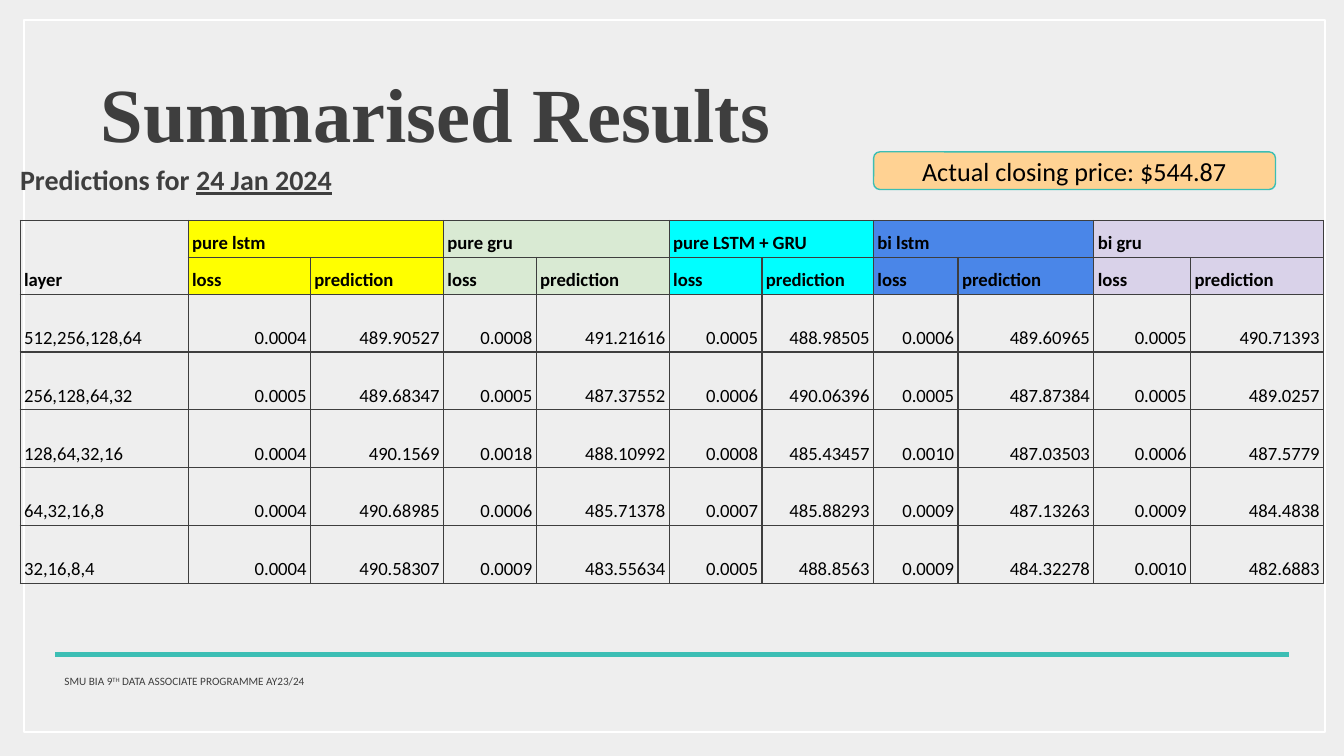
from lxml.etree import SubElement
from pptx import Presentation
from pptx.dml.color import RGBColor
from pptx.enum.shapes import MSO_CONNECTOR, MSO_SHAPE
from pptx.enum.text import MSO_ANCHOR, PP_ALIGN
from pptx.oxml import parse_xml
from pptx.oxml.ns import nsdecls, qn
from pptx.util import Inches, Pt

INK = {"back": "EEEEEE", "frame": "FFFFFF", "teal": "3CBEB4", "gray": "3E3E3E",
       "black": "000000", "peach": "FFD293", "yellow": "FFFF00", "green": "D9EAD3",
       "cyan": "00FFFF", "blue": "4A86E8", "lilac": "D9D2E9"}

MODELS = [("pure lstm", "yellow"), ("pure gru", "green"), ("pure LSTM + GRU", "cyan"),
          ("bi lstm", "blue"), ("bi gru", "lilac")]
RESULTS = """
512,256,128,64 0.0004 489.90527 0.0008 491.21616 0.0005 488.98505 0.0006 489.60965 0.0005 490.71393
256,128,64,32 0.0005 489.68347 0.0005 487.37552 0.0006 490.06396 0.0005 487.87384 0.0005 489.0257
128,64,32,16 0.0004 490.1569 0.0018 488.10992 0.0008 485.43457 0.0010 487.03503 0.0006 487.5779
64,32,16,8 0.0004 490.68985 0.0006 485.71378 0.0007 485.88293 0.0009 487.13263 0.0009 484.4838
32,16,8,4 0.0004 490.58307 0.0009 483.55634 0.0005 488.8563 0.0009 484.32278 0.0010 482.6883
"""
WIDTHS = [1.25, 0.91, 0.99, 0.69, 0.99, 0.69, 0.83, 0.63, 1.01, 0.72, 0.99]
HEIGHTS = [0.55 / 2] * 2 + [0.43] * 5


def color(name):
    return RGBColor.from_string(INK[name])


def write(para, text, size=10, font="Calibri", ink="black", bold=False,
          line=False, base=0, align=PP_ALIGN.LEFT):
    """Add one formatted run to a paragraph."""
    para.alignment = align
    run = para.add_run()
    run.text = text
    run.font.size, run.font.name = Pt(size), font
    run.font.bold, run.font.underline = bold, line
    run.font.color.rgb = color(ink)
    if base:
        run.font._element.set("baseline", str(base * 1000))


def inset(part, left, top, right, bottom):
    part.margin_left, part.margin_top = Inches(left), Inches(top)
    part.margin_right, part.margin_bottom = Inches(right), Inches(bottom)


def add_text(slide, box, pad=(0, 0, 0, 0)):
    """Add a text box and return its first paragraph."""
    frame = slide.shapes.add_textbox(*map(Inches, box)).text_frame
    frame.word_wrap = True
    inset(frame, *pad)
    return frame.paragraphs[0]


def add_box(slide, kind, box, line, width, fill=None):
    shape = slide.shapes.add_shape(kind, *map(Inches, box))
    shape.shadow.inherit = False
    if fill:
        shape.fill.solid()
        shape.fill.fore_color.rgb = color(fill)
    else:
        shape.fill.background()
    shape.line.color.rgb = color(line)
    shape.line.width = Pt(width)
    return shape


def add_frame(slide, left, top, width, height):
    # White border
    add_box(slide, MSO_SHAPE.RECTANGLE, (left, top, width, height), "frame", 1)
    # Footer rule
    x, y = left + 0.23, top + 4.72
    rule = slide.shapes.add_connector(
        MSO_CONNECTOR.STRAIGHT, *map(Inches, (x, y, x + 9.18, y)))
    rule.line.color.rgb = color("teal")
    rule.line.width = Pt(2.25)
    SubElement(rule._element.spPr, qn("a:effectLst"))
    # Footer text
    para = add_text(slide, (x, y + 0.09, 3.34, 0.23), (0.07, 0.09, 0.07, 0.07))
    for text, base in (("SMU BIA 9", 0), ("TH", 30),
                       (" DATA ASSOCIATE PROGRAMME AY23/24", 0)):
        write(para, text, size=6, ink="gray", base=base)


def add_header(slide, left, top):
    # Title
    para = add_text(slide, (left + 0.6, top, 8.5, 0.56))
    write(para, "Summarised Results", size=41, font="Times New Roman",
          ink="gray", bold=True)
    # Date of the predictions
    para = add_text(slide, (left, top + 0.72, 5.5, 0.28))
    write(para, "Predictions for ", size=15, ink="gray", bold=True)
    write(para, "24 Jan 2024", size=15, ink="gray", bold=True, line=True)
    # Actual price
    tag = add_box(slide, MSO_SHAPE.ROUNDED_RECTANGLE,
                  (left + 6.35, top + 0.64, 2.99, 0.28), "teal", 0.75, "peach")
    frame = tag.text_frame
    frame.word_wrap = True
    frame.vertical_anchor = MSO_ANCHOR.MIDDLE
    inset(frame, *(0.1,) * 4)
    write(frame.paragraphs[0], "Actual closing price: $544.87", size=14,
          align=PP_ALIGN.CENTER)


def style_cell(cell, fill):
    cell.vertical_anchor = MSO_ANCHOR.BOTTOM
    inset(cell, 0.03, 0.02, 0.03, 0.02)
    if fill:
        cell.fill.solid()
        cell.fill.fore_color.rgb = color(fill)
    else:
        cell.fill.background()
    # Borders come before the fill in the cell properties
    props = cell._tc.get_or_add_tcPr()
    for spot, side in enumerate("LRTB"):
        props.insert(spot, parse_xml(
            f'<a:ln{side} {nsdecls("a")} w="{Pt(0.75)}"><a:solidFill>'
            f'<a:srgbClr val="{INK["gray"]}"/></a:solidFill></a:ln{side}>'))


def add_results(slide, left, top):
    rows = [["layer"], [""]]
    for name, _ in MODELS:
        rows[0] += [name, ""]
        rows[1] += ["loss", "prediction"]
    rows += [row.split() for row in RESULTS.strip().splitlines()]

    box = map(Inches, (left, top, sum(WIDTHS), sum(HEIGHTS)))
    table = slide.shapes.add_table(len(rows), len(WIDTHS), *box).table
    table.first_row = table.horz_banding = False
    for col, width in zip(table.columns, WIDTHS):
        col.width = Inches(width)
    for row, height in zip(table.rows, HEIGHTS):
        row.height = Inches(height)

    # Cells
    for r, row in enumerate(rows):
        head = r < 2
        for c, text in enumerate(row):
            cell = table.cell(r, c)
            style_cell(cell, MODELS[(c - 1) // 2][1] if head and c else None)
            if text:
                para = cell.text_frame.paragraphs[0]
                para.line_spacing = 1.15
                write(para, text, bold=head,
                      align=PP_ALIGN.LEFT if head or c == 0 else PP_ALIGN.RIGHT)

    # Merged headings
    table.cell(0, 0).merge(table.cell(1, 0))
    for c in range(1, len(WIDTHS), 2):
        table.cell(0, c).merge(table.cell(0, c + 1))


def main():
    deck = Presentation()
    # Widescreen, 16 to 9
    deck.slide_width = Inches(10)
    deck.slide_height = deck.slide_width * 9 // 16
    slide = deck.slides.add_slide(deck.slide_layouts[6])
    slide.background.fill.solid()
    slide.background.fill.fore_color.rgb = color("back")
    add_frame(slide, 0.18, 0.15, 9.68, 5.3)
    add_header(slide, 0.15, 0.49)
    add_results(slide, 0.15, 1.64)
    deck.save("out.pptx")


if __name__ == "__main__":
    main()
